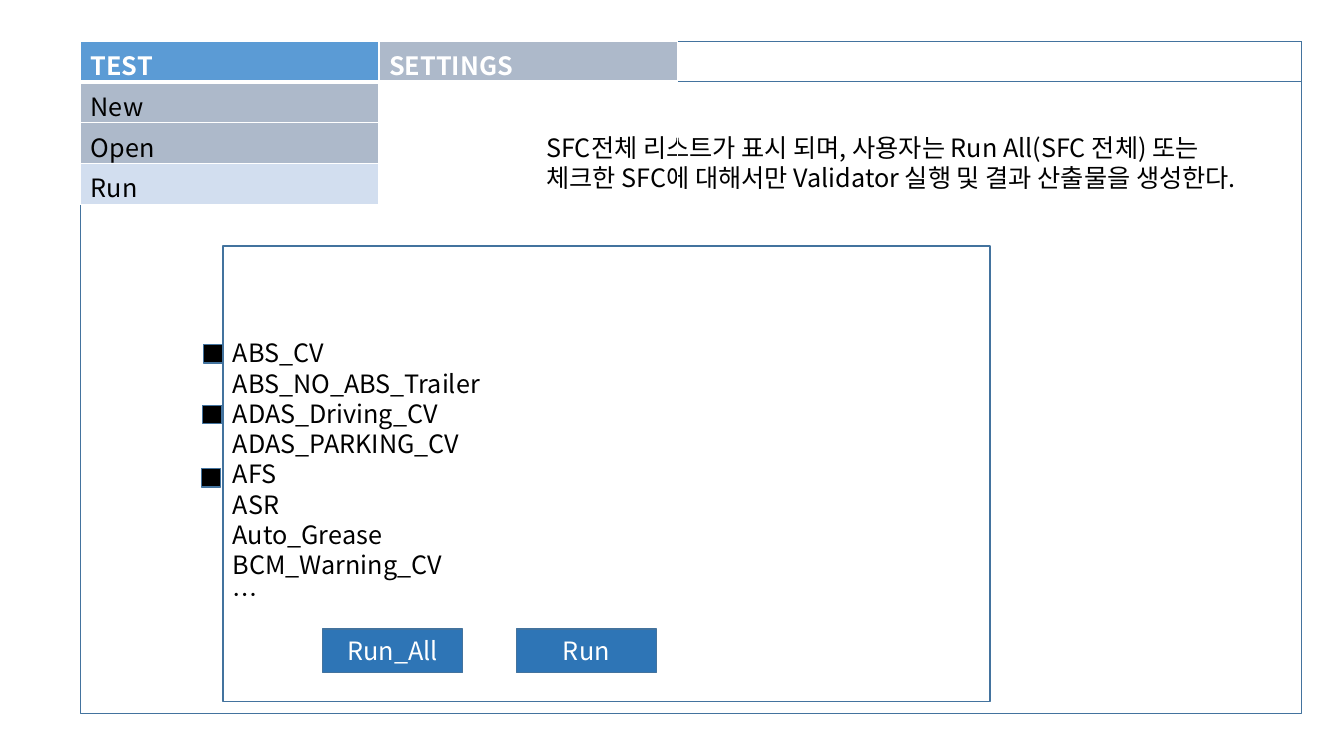
from dataclasses import dataclass

from lxml import etree
from pptx import Presentation
from pptx.dml.color import RGBColor
from pptx.enum.shapes import MSO_SHAPE
from pptx.enum.text import MSO_ANCHOR, MSO_AUTO_SIZE, PP_ALIGN
from pptx.oxml.ns import qn
from pptx.util import Inches, Pt

DESCRIPTION = [
    "SFC전체 리스트가 표시 되며, 사용자는 Run All(SFC 전체) 또는",
    "체크한 SFC에 대해서만 Validator 실행 및 결과 산출물을 생성한다.",
]
FUNCTIONS = [
    "ABS_CV", "ABS_NO_ABS_Trailer", "ADAS_Driving_CV", "ADAS_PARKING_CV",
    "AFS", "ASR", "Auto_Grease", "BCM_Warning_CV", "…",
]
CHECKS = [(2.02, 3.42), (2.01, 4.02), (2, 4.65)]
BUTTONS = ["Run_All", "Run"]


@dataclass(frozen=True)
class Theme:
    font: str = "Noto Sans CJK KR"
    size: int = 18
    ink: str = "000000"
    white: str = "FFFFFF"
    outline: str = "43739E"
    button: str = "2E75B6"
    tab: str = "5B9BD5"
    menu: str = "ADB9CA"
    selected: str = "D2DEEF"


THEME = Theme()
MENU = [
    [("TEST", THEME.tab), ("SETTINGS", THEME.menu)],
    [("New", THEME.menu), ("", None)],
    [("Open", THEME.menu), ("", None)],
    [("Run", THEME.selected), ("", None)],
]


def write(frame, lines, color=THEME.ink, bold=False, align=PP_ALIGN.LEFT):
    frame.text = "\n".join(lines)
    for para in frame.paragraphs:
        para.alignment = align
        font = para.font
        font.name, font.size, font.bold = THEME.font, Pt(THEME.size), bold
        font.color.rgb = RGBColor.from_string(color)
        properties = para._p.pPr.find(qn("a:defRPr"))
        latin = properties.find(qn("a:latin"))
        east_asian = etree.Element(qn("a:ea"), typeface=THEME.font)
        latin.addnext(east_asian)


def add_box(page, left, top, width, height, fill=None):
    box = page.shapes.add_shape(
        MSO_SHAPE.RECTANGLE, Inches(left), Inches(top), Inches(width), Inches(height))
    box.shadow.inherit = False
    box.line.color.rgb = RGBColor.from_string(THEME.outline)
    box.line.width = Pt(1)
    if fill:
        box.fill.solid()
        box.fill.fore_color.rgb = RGBColor.from_string(fill)
    else:
        box.fill.background()
    box.text_frame.vertical_anchor = MSO_ANCHOR.MIDDLE
    return box


def add_borders(cell, bottom):
    properties = cell._tc.get_or_add_tcPr()
    widths = {"a:lnL": 1, "a:lnR": 1, "a:lnT": 1, "a:lnB": bottom}
    for position, (tag, width) in enumerate(widths.items()):
        border = etree.Element(qn(tag), w=str(Pt(width)))
        fill = etree.SubElement(border, qn("a:solidFill"))
        etree.SubElement(fill, qn("a:srgbClr"), val=THEME.white)
        properties.insert(position, border)


def add_menu(page):
    table = page.shapes.add_table(
        len(MENU), len(MENU[0]), Inches(0.8), Inches(0.41), Inches(5.92), Inches(1.62)).table
    for column in table.columns:
        column.width = Inches(2.96)
    for index, entries in enumerate(MENU):
        table.rows[index].height = Inches(1.62 / len(MENU))
        header = index == 0
        for column, (label, color) in enumerate(entries):
            cell = table.cell(index, column)
            write(cell.text_frame, [label], THEME.white if header else THEME.ink, header)
            if color:
                cell.fill.solid()
                cell.fill.fore_color.rgb = RGBColor.from_string(color)
            else:
                cell.fill.background()
            add_borders(cell, 3 if header else 1)


def main():
    deck = Presentation()
    deck.slide_width, deck.slide_height = Inches(13.33), Inches(7.5)
    page = deck.slides.add_slide(deck.slide_layouts[6])

    for height in (6.67, 0.4):
        add_box(page, 0.8, 0.41, 12.11, height)

    description = page.shapes.add_textbox(
        Inches(5.32), Inches(1.26), Inches(7.64), Inches(0.71)).text_frame
    description.word_wrap = False
    description.auto_size = MSO_AUTO_SIZE.SHAPE_TO_FIT_TEXT
    write(description, DESCRIPTION)

    add_menu(page)

    panel = add_box(page, 2.21, 2.44, 7.61, 4.52)
    write(panel.text_frame, FUNCTIONS)
    for left, top in CHECKS:
        add_box(page, left, top, 0.19, 0.18, THEME.ink)
    for index, label in enumerate(BUTTONS):
        button = add_box(page, 3.2 + 1.92 * index, 6.24, 1.39, 0.43, THEME.button)
        write(button.text_frame, [label], THEME.white, align=PP_ALIGN.CENTER)

    deck.save("out.pptx")


if __name__ == "__main__":
    main()
